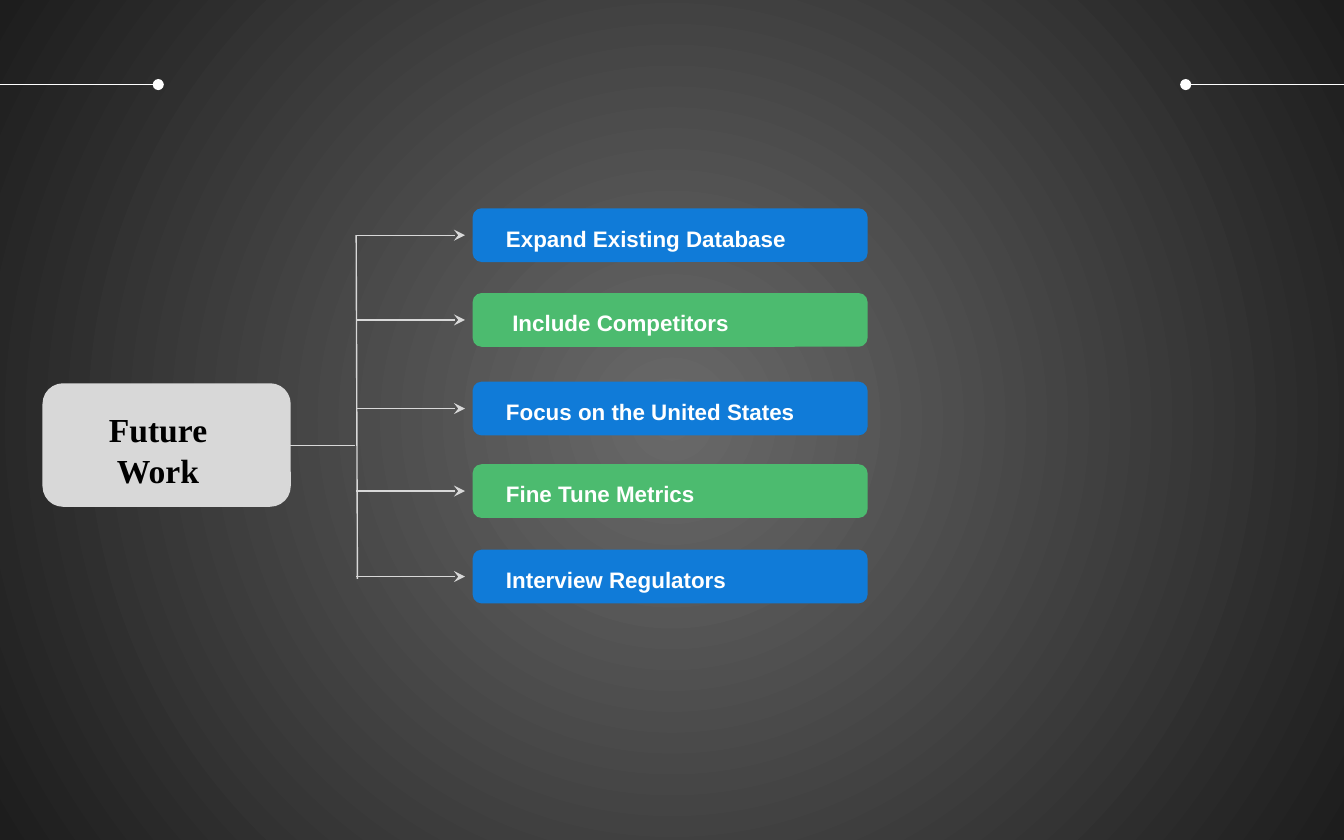
import lxml.etree
import pptx
import pptx.dml.color
import pptx.enum.shapes
import pptx.enum.text
import pptx.oxml
import pptx.oxml.ns
import pptx.util

Pt = pptx.util.Pt
ALIGN = pptx.enum.text.PP_ALIGN
WIDE, HIGH = 720, 450
GREY, BLUE, GREEN, WHITE, BLACK = "D8D8D8", "107BD8", "4CBB6F", "FFFFFF", "000000"
GOALS = [
    ("Expand Existing Database", 111.6, 180, 0),
    ("Include Competitors", 157, 151.2, 3.3),
    ("Focus on the United States", 204.5, 197.3, 0),
    ("Fine Tune Metrics", 248.7, 139.7, 0),
    ("Interview Regulators", 294.5, 151.2, 0),
]
CARD = 28.8


def tint(color):
    return pptx.dml.color.RGBColor.from_string(color)


def paint(slide, inner, outer):
    fill = slide.background.fill
    fill.gradient()
    for stop, color, place in zip(fill.gradient_stops, (inner, outer), (0, 1)):
        stop.color.rgb = tint(color)
        stop.position = place
    grad = slide.background._cSld.find(".//" + pptx.oxml.ns.qn("a:gradFill"))
    grad.remove(grad.find(pptx.oxml.ns.qn("a:lin")))
    grad.append(pptx.oxml.parse_xml(
        f'<a:path {pptx.oxml.ns.nsdecls("a")} path="circle">'
        '<a:fillToRect l="50000" t="50000" r="50000" b="50000"/></a:path>'))


def draw(slide, start, end, color, **tips):
    kind = pptx.enum.shapes.MSO_CONNECTOR.STRAIGHT
    line = slide.shapes.add_connector(kind, *map(Pt, start + end))
    line.line.color.rgb = tint(color)
    line.line.width = Pt(0.75)
    props = line._element.spPr
    for tip, form in tips.items():
        lxml.etree.SubElement(props.ln, pptx.oxml.ns.qn("a:" + tip), type=form)
    lxml.etree.SubElement(props, pptx.oxml.ns.qn("a:effectLst"))


def block(slide, box, color):
    kind = pptx.enum.shapes.MSO_SHAPE.ROUNDED_RECTANGLE
    shape = slide.shapes.add_shape(kind, *map(Pt, box))
    shape.shadow.inherit = False
    shape.fill.solid()
    shape.fill.fore_color.rgb = tint(color)
    shape.line.fill.background()


def write(slide, box, text, color, align, inset=0, **style):
    frame = slide.shapes.add_textbox(*map(Pt, box)).text_frame
    layout = {
        "word_wrap": True,
        "auto_size": pptx.enum.text.MSO_AUTO_SIZE.SHAPE_TO_FIT_TEXT,
        "vertical_anchor": pptx.enum.text.MSO_ANCHOR.MIDDLE,
        "margin_left": Pt(7.2 + inset),
    }
    for key, value in layout.items():
        setattr(frame, key, value)
    para = frame.paragraphs[0]
    para.alignment = align
    run = para.add_run()
    run.text = text
    run.font.color.rgb = tint(color)
    for key, value in style.items():
        setattr(run.font, key, value)


def tree(slide, left, top, wide, high):
    mid = top + high / 2
    draw(slide, (left, mid), (left + wide - 0.7, mid), GREY)
    rows = [goal[1] + CARD / 2 for goal in GOALS]
    spine = left + wide
    draw(slide, (spine, rows[0]), (spine + 0.7, rows[-1] + 1.2), GREY)
    for row in rows:
        draw(slide, (spine, row), (spine + 58.3, row), GREY, tailEnd="stealth")


def root(slide, left, top, wide, high):
    block(slide, (left, top, wide, high), GREY)
    write(slide, (left + 18.7, top + 10, 86.4, 51.1), "Future Work", BLACK,
          ALIGN.CENTER, name="Times New Roman", size=Pt(18), bold=True)


def cards(slide, left, wide):
    for spot, (text, top, span, inset) in enumerate(GOALS):
        block(slide, (left, top, wide, CARD), (BLUE, GREEN)[spot % 2])
        write(slide, (left + 10.8, top + 5.2, span, 21.6), text, WHITE,
              ALIGN.LEFT, inset, name="Arial", size=Pt(12), bold=True)


def rules(slide, left, top, wide):
    for edge, way in ((left, 1), (left + wide, -1)):
        draw(slide, (edge + way * 84.8, top), (edge, top), WHITE, headEnd="oval")


def main():
    deck = pptx.Presentation()
    deck.slide_width, deck.slide_height = Pt(WIDE), Pt(HIGH)
    slide = deck.slides.add_slide(deck.slide_layouts[6])
    paint(slide, "696969", "1D1D1D")
    tree(slide, 71.3, 205.3, 119.5, 66.5)
    root(slide, 22.8, 205.3, 133, 66.2)
    cards(slide, 253.2, 211.6)
    rules(slide, 0, 45.3, WIDE)
    deck.save("out.pptx")


if __name__ == "__main__":
    main()
